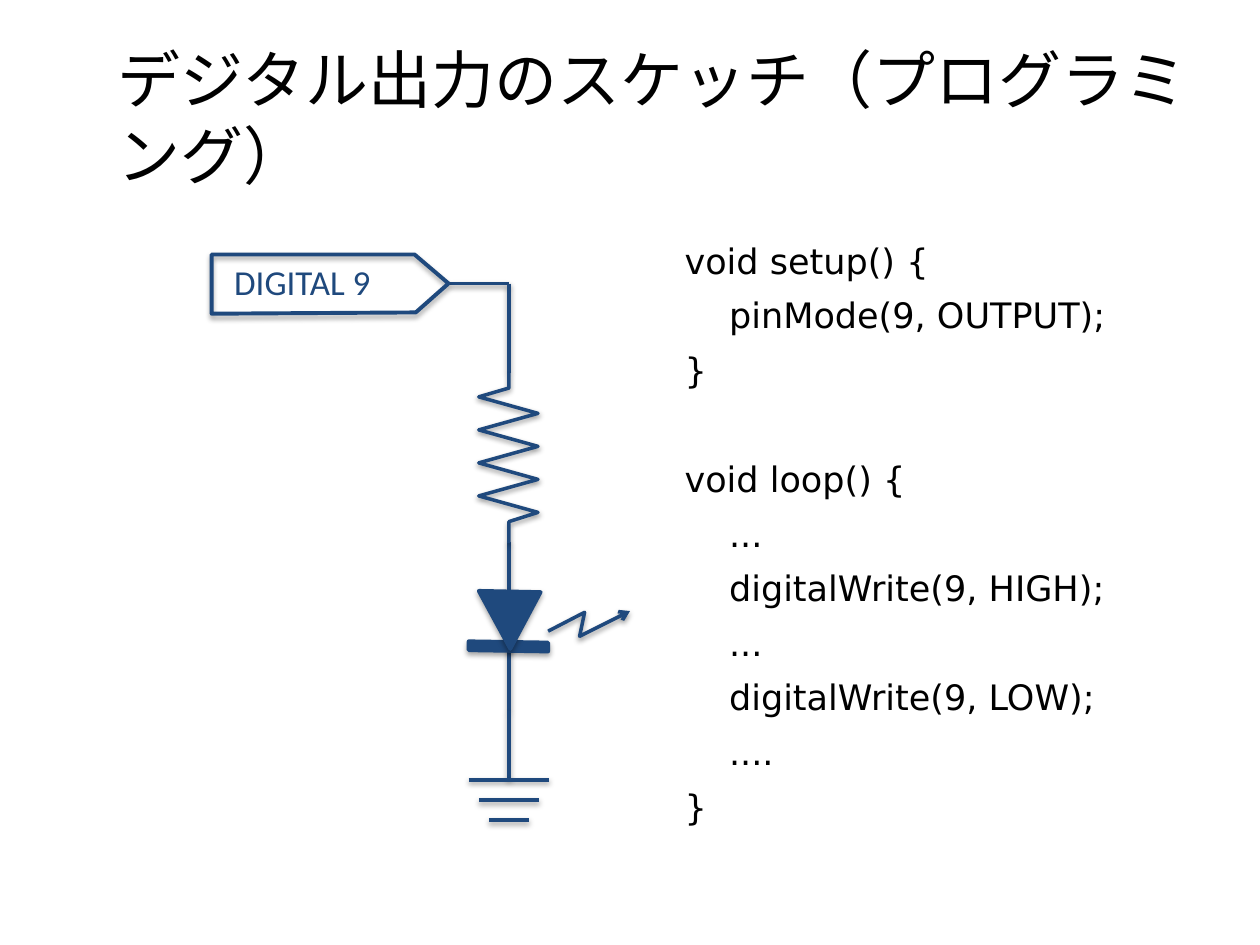
from lxml import etree
from pptx import Presentation
from pptx.dml.color import RGBColor
from pptx.enum import shapes, text
from pptx.oxml import parse_xml
from pptx.oxml.ns import qn
from pptx.util import Pt

COLORS = {"ink": "000000", "circuit": "1F497D"}
NS = "http://schemas.openxmlformats.org/drawingml/2006/main"

presentation = Presentation()
presentation.slide_width, presentation.slide_height = Pt(720), Pt(540)
slide = presentation.slides.add_slide(presentation.slide_layouts[6])
CELL = presentation.slide_width // 100  # square grid, 100 columns by 75 rows


def add_text(left, top, width, height, lines, font, size, color, wrap=True):
    shape = slide.shapes.add_textbox(*(round(n * CELL) for n in (left, top, width, height)))
    frame = shape.text_frame
    frame.word_wrap = wrap
    frame.text = "\n".join(lines)
    for paragraph in frame.paragraphs:
        paragraph.font.name = font
        paragraph.font.size = Pt(size)
        paragraph.font.color.rgb = RGBColor.from_string(COLORS[color])
    return frame


def style_outline(shape, width, alpha=38, distance=1.6):
    """Circuit-blue outline with a soft shadow straight below."""
    shape.line.color.rgb = RGBColor.from_string(COLORS["circuit"])
    shape.line.width = Pt(width)
    shape._element.spPr.append(parse_xml(
        f'<a:effectLst xmlns:a="{NS}"><a:outerShdw blurRad="{Pt(3.1)}" '
        f'dist="{Pt(distance)}" dir="5400000" rotWithShape="0"><a:srgbClr val="{COLORS["ink"]}">'
        f'<a:alpha val="{alpha * 1000}"/></a:srgbClr></a:outerShdw></a:effectLst>'))


# Title
title = add_text(8.33, 3, 88.33, 12.5, ["デジタル出力のスケッチ（プログラミング）"],
                 "Calibri", 36, "ink")
title.vertical_anchor = text.MSO_ANCHOR.MIDDLE

# Sketch code: statements are indented, a one-line gap precedes loop()
code = ["void setup() {", "pinMode(9, OUTPUT);", "}",
        "void loop() {", "...", "digitalWrite(9, HIGH);", "...",
        "digitalWrite(9, LOW);", "....", "}"]
body = add_text(53.35, 17.5, 44.2, 49.5, code, "DejaVu Sans", 20, "ink")
for paragraph in body.paragraphs:
    paragraph.line_spacing = 1.3
    if paragraph.text.startswith("void loop"):
        paragraph.space_before = Pt(31)
    elif not paragraph.text.startswith(("void", "}")):
        paragraph._p.get_or_add_pPr().set("marL", str(round(3.53 * CELL)))

# Wires down the axis, then the ground bars
AXIS = 40.4
wires = [(AXIS, 43, AXIS, 56.4, 2.25),
         (35.7, 22.5, AXIS, 22.5, 2),
         (AXIS, 22.5, AXIS, 29.6, 2),
         (AXIS, 56.4, AXIS, 61.9, 2)]
wires += [(AXIS - half, 61.9 + 1.6 * row, AXIS + half, 61.9 + 1.6 * row, 2)
          for row, half in enumerate((3.2, 2.4, 1.6))]
for *ends, width in wires:
    wire = slide.shapes.add_connector(shapes.MSO_CONNECTOR.STRAIGHT,
                                      *(round(n * CELL) for n in ends))
    style_outline(wire, width)

# Outlines: points, closed, filled, arrowhead
zigzag = [(38 if i % 2 == 0 else 42.7, 31.5 + 1.31 * i) for i in range(8)]
outlines = [
    # cathode bar
    ([(37.2, 50.9), (43.5, 51), (43.5, 51.7), (37.2, 51.6)], True, True, False),
    # emitted light
    ([(43.5, 50.1), (46.4, 48.6), (46, 50.5), (50, 48.5)], False, False, True),
    # diode triangle
    ([(38, 46.9), (42.9, 47), (40.5, 51.5)], True, True, False),
    # pin tag
    ([(16.8, 24.9), (16.8, 20.2), (32.9, 20.2), (35.6, 22.5), (33, 24.8)], True, False, False),
    # resistor
    ([(AXIS, 29.6), (AXIS, 30.8), *zigzag, (AXIS, 41.4), (AXIS, 43.1)], False, False, False),
]
for points, closed, filled, arrow in outlines:
    start, *rest = [(round(x * CELL), round(y * CELL)) for x, y in points]
    builder = slide.shapes.build_freeform(*start)
    builder.add_line_segments(rest, close=closed)
    shape = builder.convert_to_shape()
    if filled:
        shape.fill.solid()
        shape.fill.fore_color.rgb = RGBColor.from_string(COLORS["circuit"])
    else:
        shape.fill.background()
    if closed:
        style_outline(shape, 2.25, alpha=35, distance=1.8)
    else:
        style_outline(shape, 2)
    if arrow:
        etree.SubElement(shape.line._get_or_add_ln(), qn("a:tailEnd"), type="arrow")

# Pin label
add_text(17.6, 20.2, 13.2, 4.4, ["DIGITAL 9"], "Calibri", 20, "circuit", wrap=False)

presentation.save("out.pptx")
